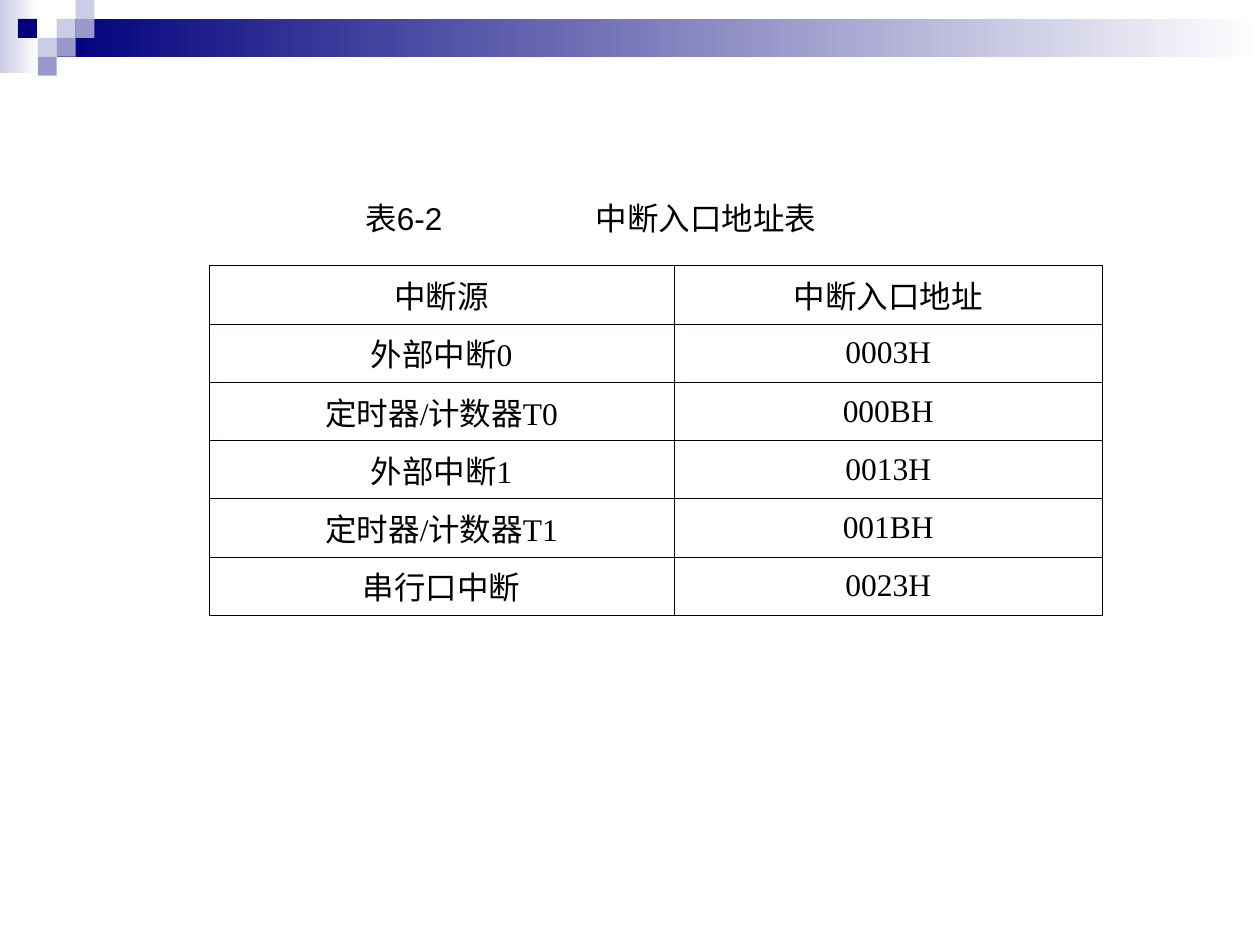
from itertools import groupby

from lxml import etree
from pptx import Presentation
from pptx.dml.color import RGBColor
from pptx.enum.shapes import MSO_SHAPE
from pptx.enum.text import MSO_ANCHOR, PP_ALIGN
from pptx.oxml.ns import qn
from pptx.util import Inches, Pt

RECT = MSO_SHAPE.RECTANGLE
LEFT, CENTER = PP_ALIGN.LEFT, PP_ALIGN.CENTER
MIDDLE = MSO_ANCHOR.MIDDLE

WIDE, HIGH = 10, 7.5
UNIT = 0.15  # side of one square in the corner
HAN = "Noto Sans CJK SC"
NAVY, MID, PALE, WHITE = "00007D", "9999CC", "CCCCE6", "FFFFFF"
BLACK, EDGE = "000000", "080000"

SQUARES = [  # column, row, colour
    (3, 1, PALE), (4, 0, PALE), (4, 1, MID), (2, 2, PALE),
    (0.95, 1, NAVY), (3, 2, MID), (2, 3, MID),
]
ROWS = [
    ("中断源", "中断入口地址"),
    ("外部中断0", "0003H"),
    ("定时器/计数器T0", "000BH"),
    ("外部中断1", "0013H"),
    ("定时器/计数器T1", "001BH"),
    ("串行口中断", "0023H"),
]


def rgb(code):
    return RGBColor.from_string(code)


def block(slide, left, top, wide, high, *tones):
    """Add a plain rectangle; two tones make a left-to-right gradient."""
    shape = slide.shapes.add_shape(
        RECT, Inches(left), Inches(top), Inches(wide), Inches(high))
    shape.shadow.inherit = False
    shape.line.fill.background()
    if len(tones) == 1:
        shape.fill.solid()
        shape.fill.fore_color.rgb = rgb(tones[0])
        return
    shape.fill.gradient()
    shape.fill.gradient_angle = 0
    for stop, tone in zip(shape.fill.gradient_stops, tones):
        stop.color.rgb = rgb(tone)


def write(frame, text, size=18, color=BLACK, latin="Times New Roman",
          align=LEFT, tab=None):
    """Write one paragraph, with a font of its own for each script."""
    para = frame.paragraphs[0]
    para.alignment = align
    if tab:
        stops = etree.SubElement(para._p.get_or_add_pPr(), qn("a:tabLst"))
        etree.SubElement(stops, qn("a:tab"), pos=str(Inches(tab)), algn="l")
    for plain, chars in groupby(text, str.isascii):
        run = para.add_run()
        run.text = "".join(chars)
        font = run.font
        font.size = Pt(size)
        font.color.rgb = rgb(color)
        font.name = latin if plain else HAN
        east = etree.SubElement(run._r.get_or_add_rPr(), qn("a:ea"))
        east.set("typeface", HAN)


def border(cell, side, color, width):
    line = etree.SubElement(
        cell._tc.get_or_add_tcPr(), qn("a:ln" + side), w=str(Pt(width)))
    fill = etree.SubElement(line, qn("a:solidFill"))
    etree.SubElement(fill, qn("a:srgbClr"), val=color)


def header(slide):
    block(slide, 0, 0, 0.31, 0.58, PALE, WHITE)
    block(slide, 3 * UNIT, UNIT, WIDE - 3 * UNIT, 2 * UNIT, NAVY, WHITE)
    for col, row, tone in SQUARES:
        block(slide, col * UNIT, row * UNIT, UNIT, UNIT, tone)


def grid(slide, left, top, widths, high):
    count = len(widths)
    table = slide.shapes.add_table(
        len(ROWS), count, Inches(left), Inches(top),
        Inches(sum(widths)), Inches(high * len(ROWS))).table
    table.first_row = table.horz_banding = False
    for col, wide in zip(table.columns, widths):
        col.width = Inches(wide)
    for r, row in enumerate(ROWS):
        for c, text in enumerate(row):
            cell = table.cell(r, c)
            cell.margin_left = cell.margin_right = Inches(0.02)
            cell.vertical_anchor = MIDDLE
            outer = {"L": c == 0, "R": c == count - 1}
            for side in "LRTB":
                look = (BLACK, 0.34) if outer.get(side) else (EDGE, 0.45)
                border(cell, side, *look)
            cell.fill.background()
            write(cell.text_frame, text, align=CENTER)


def caption(slide, left, top, wide, high):
    frame = slide.shapes.add_textbox(
        Inches(left), Inches(top), Inches(wide), Inches(high)).text_frame
    frame.word_wrap = True
    frame.margin_left = Inches(0.54)
    write(frame, "表6-2\t中断入口地址表", latin="Arial", tab=1.83)


def main():
    deck = Presentation()
    deck.slide_width, deck.slide_height = Inches(WIDE), Inches(HIGH)
    slide = deck.slides.add_slide(deck.slide_layouts[6])
    header(slide)
    grid(slide, 1.66, 2.11, (3.69, 3.4), 0.35)
    caption(slide, 2.36, 1.53, 5.56, 0.4)
    deck.save("out.pptx")


if __name__ == "__main__":
    main()
